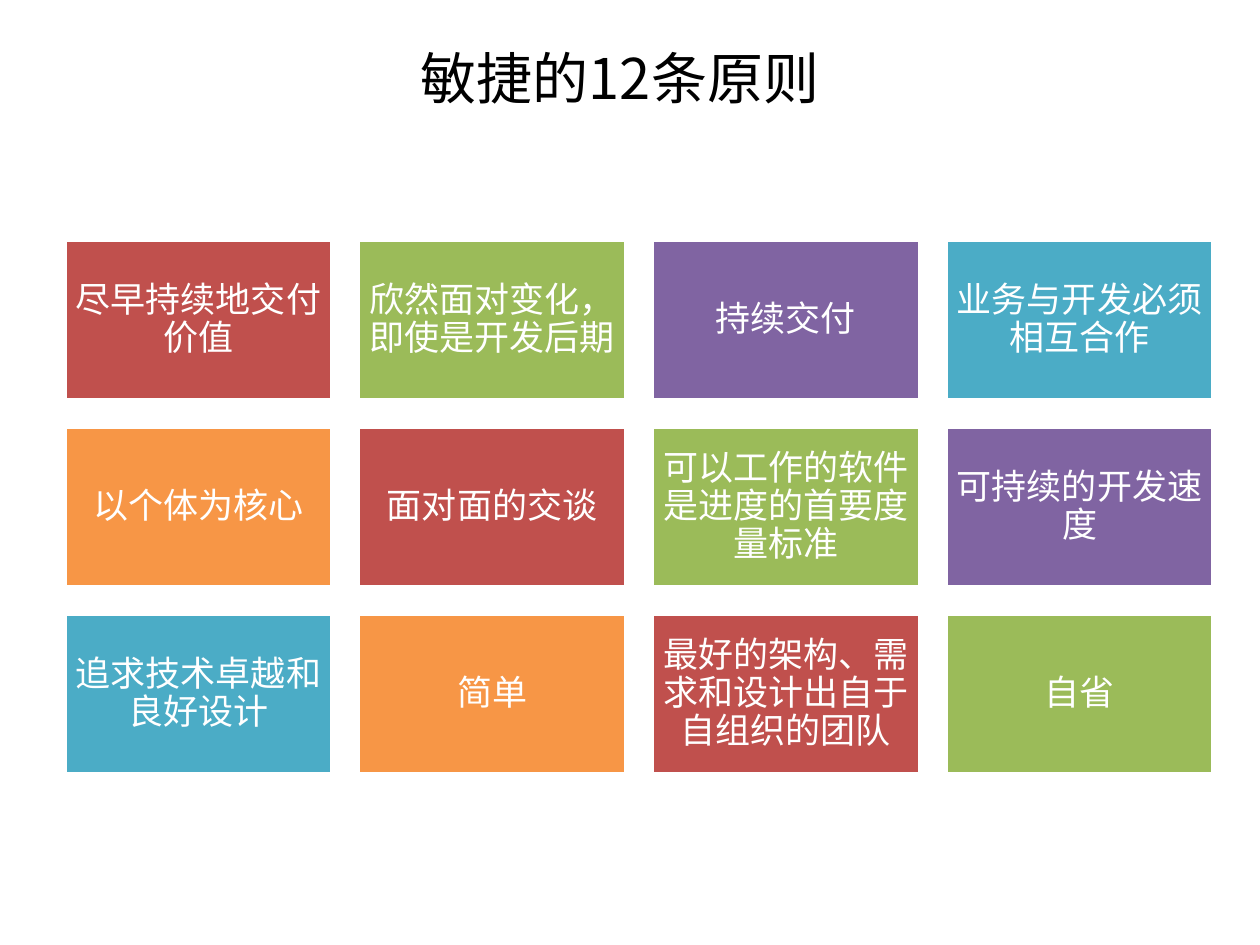
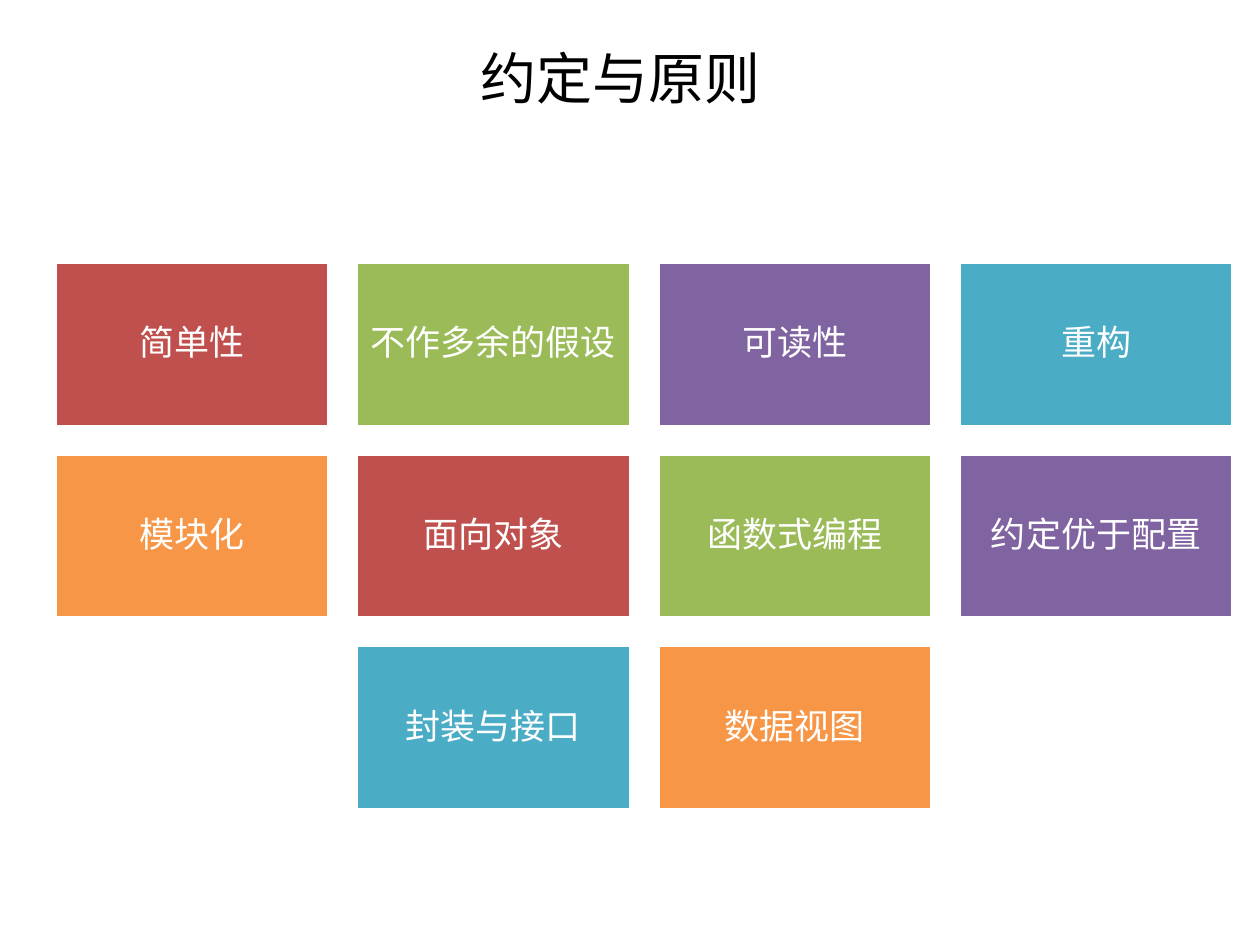
from pptx import Presentation
from pptx.dml.color import RGBColor
from pptx.enum.shapes import MSO_SHAPE
from pptx.enum.text import MSO_ANCHOR, PP_ALIGN
from pptx.oxml.ns import qn
from pptx.util import Pt
from lxml.etree import SubElement

# Content: one entry per slide, lengths in px
SLIDES = [
    {
        "title": "敏捷的12条原则",
        "title_at": (323, 45, 594, 87),
        "grid_at": (65, 240),
        "tile_width": 267,
        "tiles": [
            "尽早持续地交付价值", "欣然面对变化，即使是开发后期", "持续交付", "业务与开发必须相互合作",
            "以个体为核心", "面对面的交谈", "可以工作的软件是进度的首要度量标准", "可持续的开发速度",
            "追求技术卓越和良好设计", "简单", "最好的架构、需求和设计出自于自组织的团队", "自省",
        ],
    },
    {
        "title": "约定与原则",
        "title_at": (432, 45, 377, 100),
        "grid_at": (55, 262),
        "tile_width": 274,
        "tiles": [
            "简单性", "不作多余的假设", "可读性", "重构",
            "模块化", "面向对象", "函数式编程", "约定优于配置",
            "封装与接口", "数据视图",
        ],
    },
]

# Shared style
COLOURS = {
    "red": "C0504D", "green": "9BBB59", "purple": "8064A2", "blue": "4BACC6", "orange": "F79646",
    "white": "FFFFFF", "black": "000000",
}
TILE_CYCLE = ["red", "green", "purple", "blue", "orange"]
TITLE_FONT, TILE_FONT = "Noto Sans CJK SC", "Calibri"
COLUMNS = 4
INSET = 10
HEIGHT_RATIO, GAP_RATIO = 0.6, 0.1


def px(length):
    return round(length * 914400 / 126)


def colour(name):
    return RGBColor.from_string(COLOURS[name])


def write(frame, text, font, size, text_colour):
    """Write one centred line of thought into a text frame."""
    frame.word_wrap = True
    para = frame.paragraphs[0]
    para.alignment = PP_ALIGN.CENTER
    para.line_spacing = 0.9
    span = para.add_run()
    span.text = text
    span.font.name = font
    span.font.size = Pt(size)
    span.font.color.rgb = colour(text_colour)
    SubElement(span.font._element, qn("a:ea")).set("typeface", font)


def add_title(page, text, place):
    title = page.shapes.title
    title.left, title.top, title.width, title.height = map(px, place)
    title.text_frame.vertical_anchor = MSO_ANCHOR.TOP
    write(title.text_frame, text, TITLE_FONT, 32, "black")


def add_tile(page, text, fill, left, top, width, height):
    box = page.shapes.add_shape(MSO_SHAPE.RECTANGLE, px(left), px(top), px(width), px(height))
    box.shadow.inherit = False
    box.fill.solid()
    box.fill.fore_color.rgb = colour(fill)
    box.line.color.rgb = colour("white")
    box.line.width = Pt(2)
    frame = box.text_frame
    frame.margin_left = frame.margin_right = frame.margin_top = frame.margin_bottom = px(INSET)
    frame.vertical_anchor = MSO_ANCHOR.MIDDLE
    write(frame, text, TILE_FONT, 20, "white")


def add_grid(page, tiles, place, width):
    """Lay tiles out in rows; a short last row is centred."""
    left, top = place
    height, gap = width * HEIGHT_RATIO, width * GAP_RATIO
    for index, text in enumerate(tiles):
        row, column = divmod(index, COLUMNS)
        in_row = min(COLUMNS, len(tiles) - row * COLUMNS)
        column += (COLUMNS - in_row) / 2
        add_tile(page, text, TILE_CYCLE[index % len(TILE_CYCLE)],
                 left + column * (width + gap), top + row * (height + gap), width, height)


def main():
    deck = Presentation()
    deck.slide_width, deck.slide_height = px(1260), px(945)
    for content in SLIDES:
        page = deck.slides.add_slide(deck.slide_layouts[5])
        add_title(page, content["title"], content["title_at"])
        add_grid(page, content["tiles"], content["grid_at"], content["tile_width"])
    deck.save("out.pptx")


if __name__ == "__main__":
    main()
